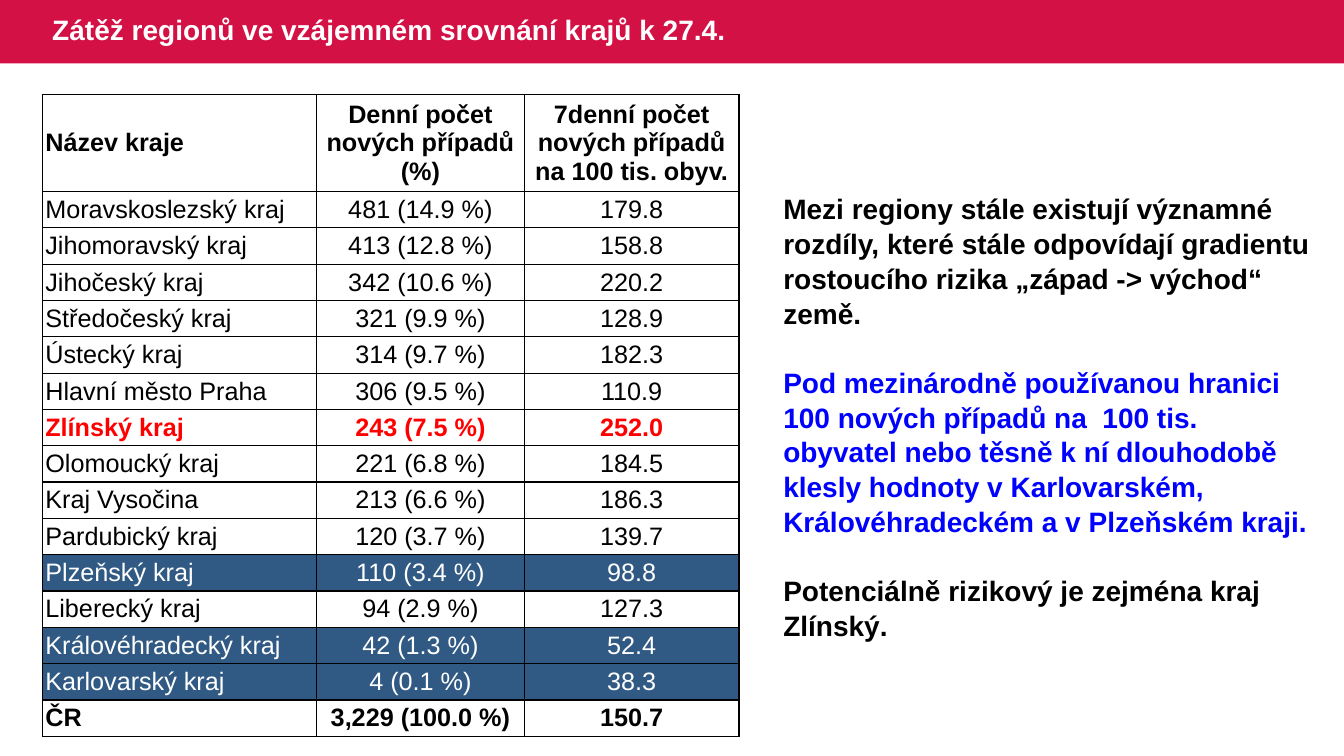
from lxml import etree
from pptx import Presentation, util as u
from pptx.dml.color import RGBColor
from pptx.enum import shapes, text
from pptx.oxml.ns import qn

C = {"band": "D31145", "white": "FFFFFF", "black": "000000",
     "blue": "0000FF", "red": "FF0000", "navy": "305983"}

prs = Presentation()
prs.slide_width, prs.slide_height = u.Inches(13.33), u.Inches(7.5)
s = prs.slides.add_slide(prs.slide_layouts[6])
left, band_h = u.Inches(0.42), u.Inches(0.63)


def style(p, size, color, bold):
    p.font.name, p.font.size, p.font.bold = "Arial", u.Pt(size), bold
    p.font.color.rgb = RGBColor.from_string(C[color])


# Header band
band = s.shapes.add_shape(shapes.MSO_SHAPE.RECTANGLE, 0, 0, prs.slide_width, band_h)
band.shadow.inherit = False
band.fill.solid()
band.fill.fore_color.rgb = RGBColor.from_string(C["band"])
band.line.fill.background()

# Title
tf = s.shapes.add_textbox(left, 0, u.Inches(8.13), band_h).text_frame
tf.word_wrap = True
tf.vertical_anchor = text.MSO_ANCHOR.MIDDLE
p = tf.paragraphs[0]
p.text = "Zátěž regionů ve vzájemném srovnání krajů k 27.4."
p.line_spacing = 0.9
style(p, 20, "white", True)

# Region table
rows = [
    ("Název kraje", "Denní počet nových případů (%)", "7denní počet nových případů na 100 tis. obyv."),
    ("Moravskoslezský kraj", "481 (14.9 %)", "179.8"),
    ("Jihomoravský kraj", "413 (12.8 %)", "158.8"),
    ("Jihočeský kraj", "342 (10.6 %)", "220.2"),
    ("Středočeský kraj", "321 (9.9 %)", "128.9"),
    ("Ústecký kraj", "314 (9.7 %)", "182.3"),
    ("Hlavní město Praha", "306 (9.5 %)", "110.9"),
    ("Zlínský kraj", "243 (7.5 %)", "252.0"),
    ("Olomoucký kraj", "221 (6.8 %)", "184.5"),
    ("Kraj Vysočina", "213 (6.6 %)", "186.3"),
    ("Pardubický kraj", "120 (3.7 %)", "139.7"),
    ("Plzeňský kraj", "110 (3.4 %)", "98.8"),
    ("Liberecký kraj", "94 (2.9 %)", "127.3"),
    ("Královéhradecký kraj", "42 (1.3 %)", "52.4"),
    ("Karlovarský kraj", "4 (0.1 %)", "38.3"),
    ("ČR", "3,229 (100.0 %)", "150.7"),
]
# Row styles: text colour, fill, bold
plain, strong = ("black", "white", False), ("black", "white", True)
low = ("white", "navy", False)
row_styles = {"Název kraje": strong, "ČR": strong, "Zlínský kraj": ("red", "white", True),
              "Plzeňský kraj": low, "Královéhradecký kraj": low, "Karlovarský kraj": low}

table = s.shapes.add_table(len(rows), 3, left, u.Inches(0.94),
                           u.Inches(6.91), u.Inches(6.27)).table
for column, width in zip(table.columns, (2.72, 2.06, 2.13)):
    column.width = u.Inches(width)
for i, values in enumerate(rows):
    table.rows[i].height = u.Inches(0.354 if i else 0.95)
    color, fill, bold = row_styles.get(values[0], plain)
    for j, value in enumerate(values):
        cell = table.cell(i, j)
        cell.margin_left = cell.margin_right = u.Inches(0.03)
        cell.margin_top = cell.margin_bottom = u.Inches(0.03)
        cell.vertical_anchor = text.MSO_ANCHOR.MIDDLE
        p = cell.text_frame.paragraphs[0]
        p.text = value
        p.alignment = text.PP_ALIGN.CENTER if j else text.PP_ALIGN.LEFT
        style(p, 18, color, bold)
        # Borders come before the fill in the cell properties
        pr = cell._tc.get_or_add_tcPr()
        for side in ("a:lnL", "a:lnR", "a:lnT", "a:lnB"):
            ln = etree.SubElement(pr, qn(side), w=str(u.Pt(1)))
            solid = etree.SubElement(ln, qn("a:solidFill"))
            etree.SubElement(solid, qn("a:srgbClr"), val=C["black"])
        cell.fill.solid()
        cell.fill.fore_color.rgb = RGBColor.from_string(C[fill])

# Commentary
comments = [
    ("Mezi regiony stále existují významné rozdíly, které stále odpovídají gradientu "
     "rostoucího rizika „západ -> východ“ země.", "black"),
    ("Pod mezinárodně používanou hranici 100 nových případů na  100 tis. obyvatel nebo těsně "
     "k ní dlouhodobě klesly hodnoty v Karlovarském, Královéhradeckém a v Plzeňském kraji.", "blue"),
    ("Potenciálně rizikový je zejména kraj Zlínský.", "black"),
]
tf = s.shapes.add_textbox(u.Inches(7.67), u.Inches(1.84), u.Inches(5.45), u.Inches(4.48)).text_frame
tf.word_wrap = True
for i, (comment, color) in enumerate(comments):
    p = tf.add_paragraph() if i else tf.paragraphs[0]
    p.text = comment
    p.line_spacing = 1.04
    if i:
        p.space_before = u.Pt(24)
    style(p, 20, color, True)

prs.save("out.pptx")
